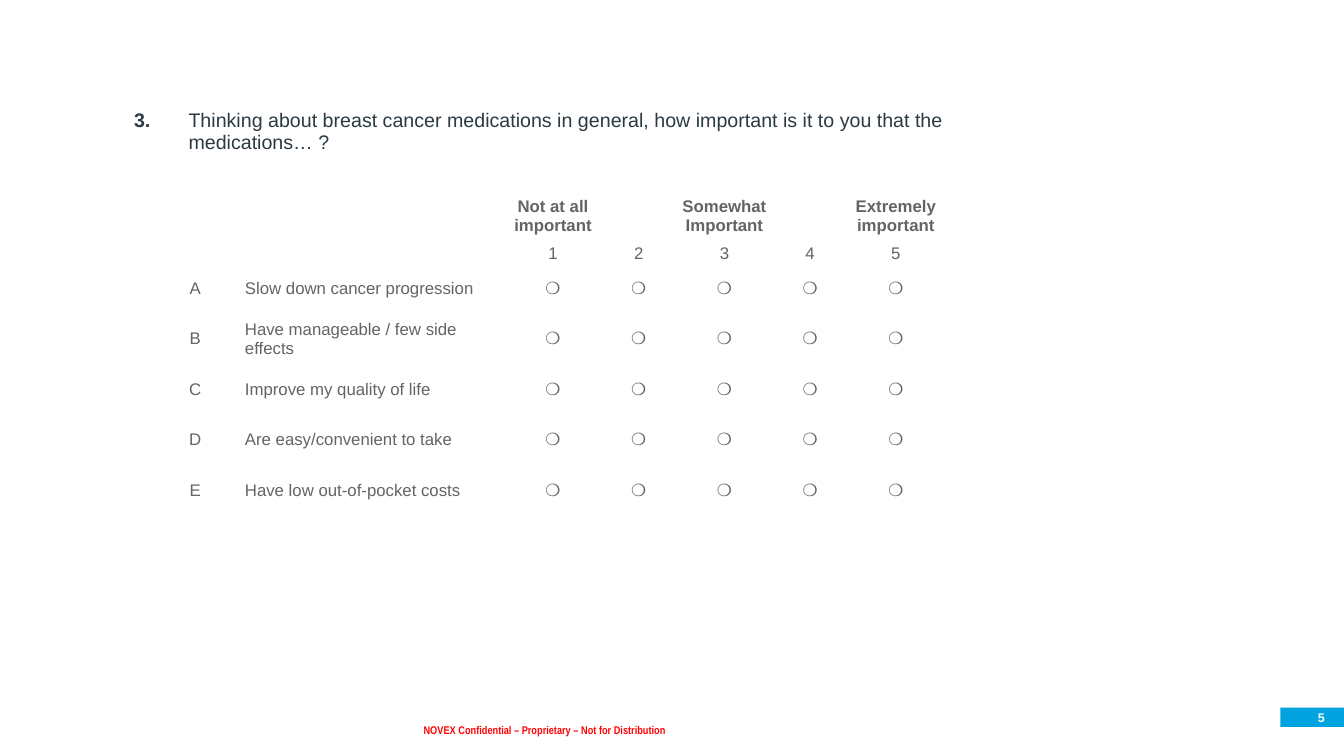
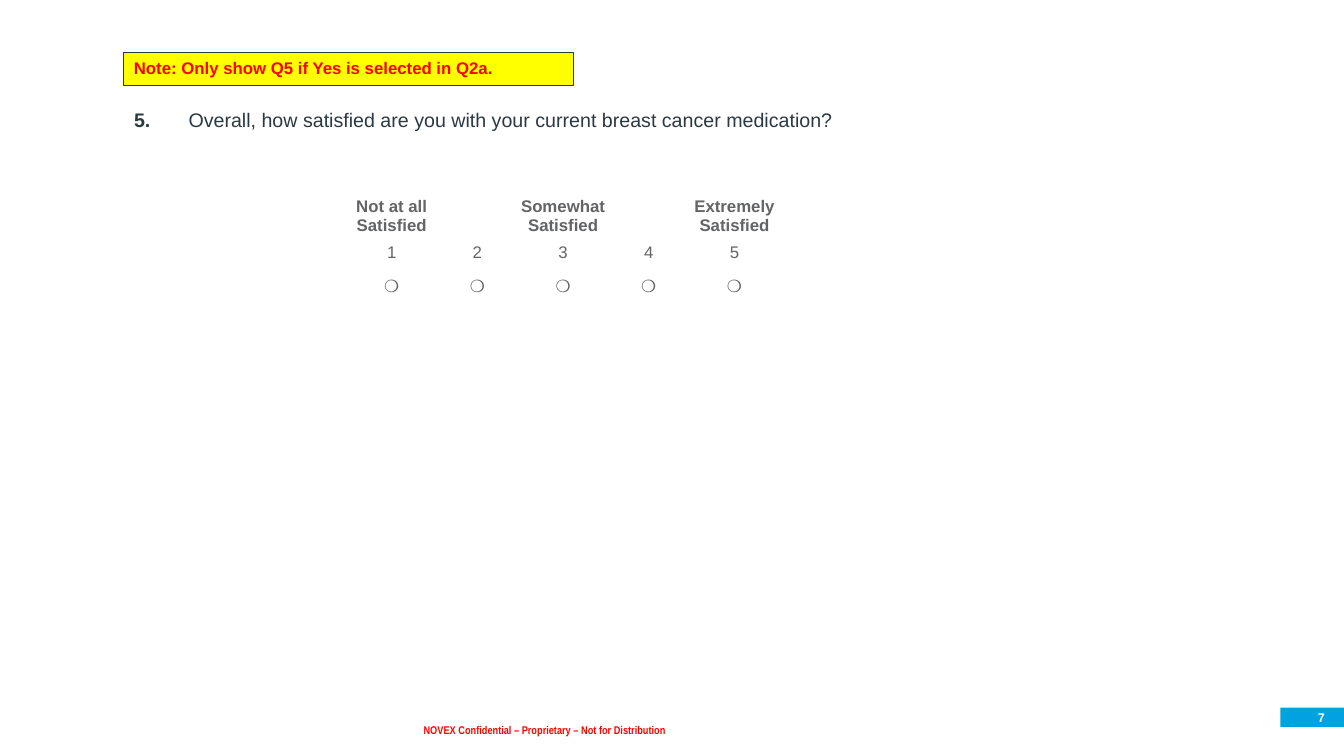
from lxml import etree
from pptx import Presentation
from pptx.dml.color import RGBColor
from pptx.enum.shapes import MSO_SHAPE
from pptx.enum.text import MSO_ANCHOR, PP_ALIGN
from pptx.oxml.ns import qn
from pptx.util import Inches, Pt

RECTANGLE = MSO_SHAPE.RECTANGLE
TOP, MIDDLE, BOTTOM = MSO_ANCHOR.TOP, MSO_ANCHOR.MIDDLE, MSO_ANCHOR.BOTTOM
LEFT, CENTER, RIGHT = PP_ALIGN.LEFT, PP_ALIGN.CENTER, PP_ALIGN.RIGHT

WHITE, BLUE, RED, YELLOW = "FFFFFF", "00A3E0", "FF0000", "FFFF00"
DARK, GREY = "2B3A42", "636466"
FONT, FOOTER_FONT = "Arial", "Arial Narrow"

FOOTER = "NOVEX Confidential – Proprietary – Not for Distribution"
CIRCLE = "❍"
SCALE = ["1", "2", "3", "4", "5"]

QUESTIONS = [
    {
        "page": "5",
        "number": "3.",
        "question": "Thinking about breast cancer medications in general, "
                    "how important is it to you that the medications… ?",
        "headings": ["Not at all important", "", "Somewhat Important", "", "Extremely important"],
        "items": [
            ("A", "Slow down cancer progression"),
            ("B", "Have manageable / few side effects"),
            ("C", "Improve my quality of life"),
            ("D", "Are easy/convenient to take"),
            ("E", "Have low out-of-pocket costs"),
        ],
        "left": 1.51,
    },
    {
        "page": "7",
        "number": "5.",
        "question": "Overall, how satisfied are you with your current breast cancer medication?",
        "headings": ["Not at all Satisfied", "", "Somewhat Satisfied", "", "Extremely Satisfied"],
        "items": [()],
        "left": 3.46,
        "note": "Note: Only show Q5 if Yes is selected in Q2a.",
    },
]

SCALE_WIDTH = 0.85
LABEL_WIDTHS = [0.85, 2.7]
HEADING_HEIGHT, NUMBER_HEIGHT, ITEM_HEIGHT = 0.53, 0.1, 0.5
TEXT_INSETS = (0.1, 0.05, 0.1, 0.05)
NO_INSETS = (0, 0, 0, 0)
LABEL_INSETS = (0.07, 0, 0.07, 0)
CIRCLE_INSETS = (0, 0.05, 0, 0.05)


def color(value):
    return RGBColor.from_string(value)


def set_insets(target, insets):
    """Set the margins of a cell or text frame: left, top, right, bottom."""
    (target.margin_left, target.margin_top,
     target.margin_right, target.margin_bottom) = [Inches(inset) for inset in insets]


def write(text_frame, text, size, text_color, bold=False, align=LEFT, font=FONT):
    paragraph = text_frame.paragraphs[0]
    paragraph.alignment = align
    if not text:
        # The end mark keeps an empty cell from growing to the default text size.
        etree.SubElement(paragraph._p, qn("a:endParaRPr"), sz=str(size * 100))
        return
    run = paragraph.add_run()
    run.text = text
    run.font.name = font
    run.font.size = Pt(size)
    run.font.bold = bold
    run.font.color.rgb = color(text_color)


def add_box(slide, position, fill, text, size, text_color, align=LEFT,
            anchor=TOP, insets=TEXT_INSETS, line=None, font=FONT):
    shape = slide.shapes.add_shape(RECTANGLE, *[Inches(value) for value in position])
    shape.shadow.inherit = False
    shape.fill.solid()
    shape.fill.fore_color.rgb = color(fill)
    if line:
        shape.line.color.rgb = color(line)
        shape.line.width = Pt(0.75)
    else:
        shape.line.fill.background()
    frame = shape.text_frame
    frame.word_wrap = True
    frame.vertical_anchor = anchor
    set_insets(frame, insets)
    write(frame, text, size, text_color, True, align, font)


def add_plain_table(slide, left, top, widths, heights):
    """Add a table without header, bands or fills."""
    table = slide.shapes.add_table(
        len(heights), len(widths), Inches(left), Inches(top),
        Inches(sum(widths)), Inches(sum(heights))).table
    table.first_row = table.horz_banding = False
    for column, width in zip(table.columns, widths):
        column.width = Inches(width)
    for row, height in zip(table.rows, heights):
        row.height = Inches(height)
    for cell in table.iter_cells():
        cell.fill.background()
    return table


def add_question(slide, number, question):
    table = add_plain_table(slide, 1.23, 1.04, [0.54, 8.35], [0.41])
    for column, text in enumerate((number, question)):
        cell = table.cell(0, column)
        set_insets(cell, TEXT_INSETS)
        write(cell.text_frame, text, 14, DARK, bold=column == 0)


def add_rating_table(slide, left, headings, items):
    label_count = len(items[0])
    blanks = [""] * label_count
    rows = [blanks + headings, blanks + SCALE]
    rows += [list(item) + [CIRCLE] * len(SCALE) for item in items]
    widths = LABEL_WIDTHS[:label_count] + [SCALE_WIDTH] * len(SCALE)
    heights = [HEADING_HEIGHT, NUMBER_HEIGHT] + [ITEM_HEIGHT] * len(items)
    table = add_plain_table(slide, left, 1.88, widths, heights)
    for row, texts in enumerate(rows):
        for column, text in enumerate(texts):
            cell = table.cell(row, column)
            cell.vertical_anchor = MIDDLE
            if row < 2:
                insets = NO_INSETS
            else:
                insets = LABEL_INSETS if column < label_count else CIRCLE_INSETS
            set_insets(cell, insets)
            is_item_text = row >= 2 and column == 1 and label_count > 0
            write(cell.text_frame, text, 12, GREY, bold=row == 0,
                  align=LEFT if is_item_text else CENTER)


def add_footer(slide, page):
    add_box(slide, (12.7, 7.02, 0.63, 0.19), BLUE, page, 9, WHITE,
            align=RIGHT, anchor=MIDDLE, insets=(0, 0, 0.19, 0))
    add_box(slide, (0.42, 6.99, 9.97, 0.37), WHITE, FOOTER, 8, RED,
            align=CENTER, anchor=BOTTOM, font=FOOTER_FONT)


def main():
    presentation = Presentation()
    presentation.slide_width = Inches(13.33)
    presentation.slide_height = Inches(7.5)
    blank_layout = presentation.slide_layouts[6]
    for content in QUESTIONS:
        slide = presentation.slides.add_slide(blank_layout)
        add_footer(slide, content["page"])
        add_question(slide, content["number"], content["question"])
        add_rating_table(slide, content["left"], content["headings"], content["items"])
        if "note" in content:
            add_box(slide, (1.23, 0.52, 4.46, 0.33), YELLOW, content["note"], 12, RED, line=DARK)
    presentation.save("out.pptx")


if __name__ == "__main__":
    main()
